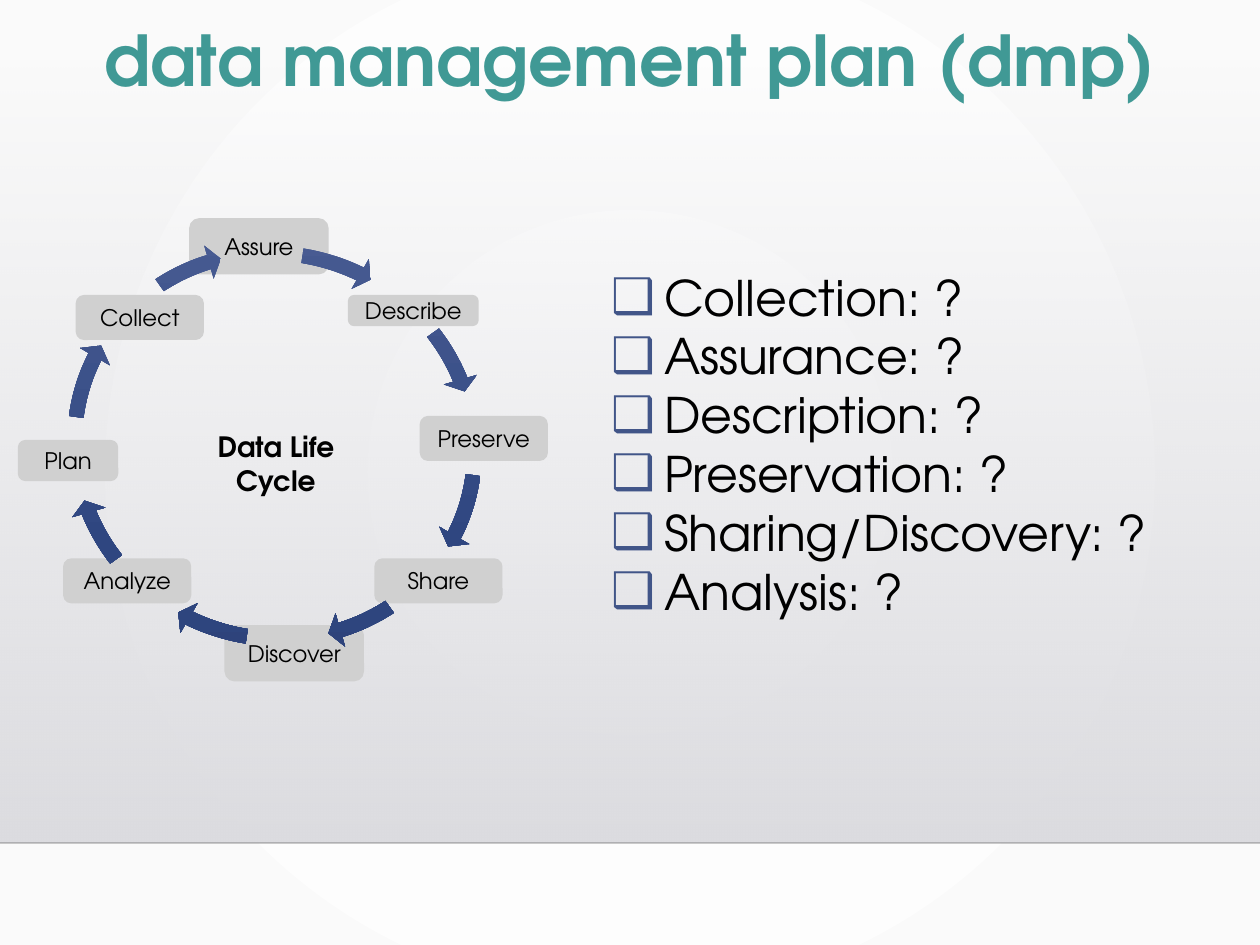
from lxml.etree import SubElement
from pptx import Presentation
from pptx.dml.color import RGBColor
from pptx.enum.shapes import MSO_CONNECTOR, MSO_SHAPE
from pptx.enum.text import MSO_ANCHOR, MSO_AUTO_SIZE, PP_ALIGN
from pptx.oxml.ns import qn
from pptx.util import Inches, Pt

FONT = "TeX Gyre Adventor"
TITLE = "data management plan (dmp)"
HUB = "Data Life Cycle"
STEPS = [
    ("Analyze", 0.51, 4.44, 1, 0.34),
    ("Share", 2.98, 4.44, 1, 0.34),
    ("Describe", 2.77, 2.35, 1.02, 0.23),
    ("Collect", 0.61, 2.35, 1, 0.34),
    ("Assure", 1.51, 1.74, 1.09, 0.43),
    ("Plan", 0.15, 3.5, 0.78, 0.31),
    ("Discover", 1.79, 4.97, 1.09, 0.43),
    ("Preserve", 3.34, 3.31, 1, 0.34),
]
ITEMS = ["Collection: ?", "Assurance: ?", "Description: ?",
         "Preservation: ?", "Sharing/Discovery: ?", "Analysis: ?"]
ARCS = [(-6.52, 4.35), (21.14, 30.69)]
TURN, PAIR = 216, 54
BLUES = [(0, "4C5F95", 100), (69, "2F4680", 100), (100, "2D4279", 100)]
FADE = [(0, "DCDCE0", 0), (100, "DEDEE2", 100)]
GLOW = [(0, "FFFFFF", 100), (100, "FAFAFA", 100)]


def color(code):
    return RGBColor.from_string(code)


def node(top, tag, **attrs):
    return SubElement(top, qn("a:" + tag), {k: str(v) for k, v in attrs.items()})


def shade(fill, stops, round=False):
    fill.gradient()
    grad = fill._fill._gradFill
    for old in list(grad):
        grad.remove(old)
    grad.set("rotWithShape", "0")
    row = node(grad, "gsLst")
    for pos, code, alpha in stops:
        tone = node(node(row, "gs", pos=pos * 1000), "srgbClr", val=code)
        if alpha < 100:
            node(tone, "alpha", val=alpha * 1000)
    if round:
        way = node(grad, "path", path="circle")
        node(way, "fillToRect", l=50000, t=50000, r=50000, b=50000)
    else:
        node(grad, "lin", ang=5400000, scaled=0)


def place(shape, *box):
    shape.left, shape.top, shape.width, shape.height = map(Inches, box)


def write(shape, text, size, tint="000000", bold=False, align=PP_ALIGN.CENTER,
          anchor=MSO_ANCHOR.TOP, inset=None, lead=None, mark=None, hang=0):
    frame = shape.text_frame
    frame.word_wrap = True
    frame.auto_size = MSO_AUTO_SIZE.NONE
    frame.vertical_anchor = anchor
    if inset is not None:
        frame.margin_left = frame.margin_right = Inches(inset)
        frame.margin_top = frame.margin_bottom = Inches(inset)
    frame.text = text
    for para in frame.paragraphs:
        if mark:
            props = para._p.get_or_add_pPr()
            props.set("marL", str(Inches(hang)))
            props.set("indent", str(-Inches(hang)))
            node(node(props, "buClr"), "srgbClr", val="415588")
            node(props, "buChar", char=mark)
        para.alignment = align
        para.space_before = Pt(0)
        if lead:
            para.line_spacing = lead
        font = para.font
        font.name, font.size, font.bold = FONT, Pt(size), bold
        font.color.rgb = color(tint)


def draw(shapes, kind, *box):
    shape = shapes.add_shape(kind, *map(Inches, box))
    shape.shadow.inherit = False
    shape.line.fill.background()
    return shape


def backdrop(slide):
    shade(slide.background.fill, GLOW, round=True)
    shade(draw(slide.shapes, MSO_SHAPE.RECTANGLE, 0, 0.51, 10, 6.18).fill, FADE)
    ends = map(Inches, (0, 6.69, 10, 6.69))
    rule = slide.shapes.add_connector(MSO_CONNECTOR.STRAIGHT, *ends)
    rule.line.width = Pt(1)
    rule.line.color.rgb = color("000001")
    tone = rule.line._ln.find(".//" + qn("a:srgbClr"))
    node(tone, "alpha", val=20000)
    node(rule._element.spPr, "effectLst")


def step(shapes, name, *box):
    card = draw(shapes, MSO_SHAPE.ROUNDED_RECTANGLE, *box)
    card.fill.solid()
    card.fill.fore_color.rgb = color("D0D0D0")
    card.line.color.rgb = color("D0D0D0")
    card.line.width = Pt(1.25)
    write(card, name, 13, anchor=MSO_ANCHOR.MIDDLE, inset=0)


def cycle(shapes):
    for item in STEPS[:-1]:
        step(shapes, *item)
    for i in range(8):
        start, end = (a + i // 2 * PAIR for a in ARCS[i % 2])
        arrow = draw(shapes, MSO_SHAPE.CIRCULAR_ARROW, 0.52, 1.81, 3.32, 3.46)
        arrow.rotation = 289.2
        for n, value in enumerate((0.035, 2.17, end, start % TURN, 0.041)):
            arrow.adjustments[n] = value
        shade(arrow.fill, BLUES)
    step(shapes, *STEPS[-1])
    hub = shapes.add_textbox(*map(Inches, (1.35, 3.36, 1.68, 0.3)))
    write(hub, HUB, 16, bold=True)


def main():
    deck = Presentation()
    deck.slide_width, deck.slide_height = Inches(10), Inches(7.5)
    slide = deck.slides.add_slide(deck.slide_layouts[1])
    title, body = slide.placeholders
    tree = title.element.getparent()
    backdrop(slide)
    place(title, 0, 0.16, 10, 0.9)
    write(title, TITLE, 40, tint="409995", bold=True, lead=0.9)
    tree.append(title.element)
    cycle(slide.shapes.add_group_shape().shapes)
    place(body, 4.75, 2.07, 4.53, 3.4)
    write(body, "\n".join(ITEMS), 28, align=PP_ALIGN.LEFT, mark="❑", hang=0.42)
    tree.append(body.element)
    deck.save("out.pptx")


if __name__ == "__main__":
    main()
